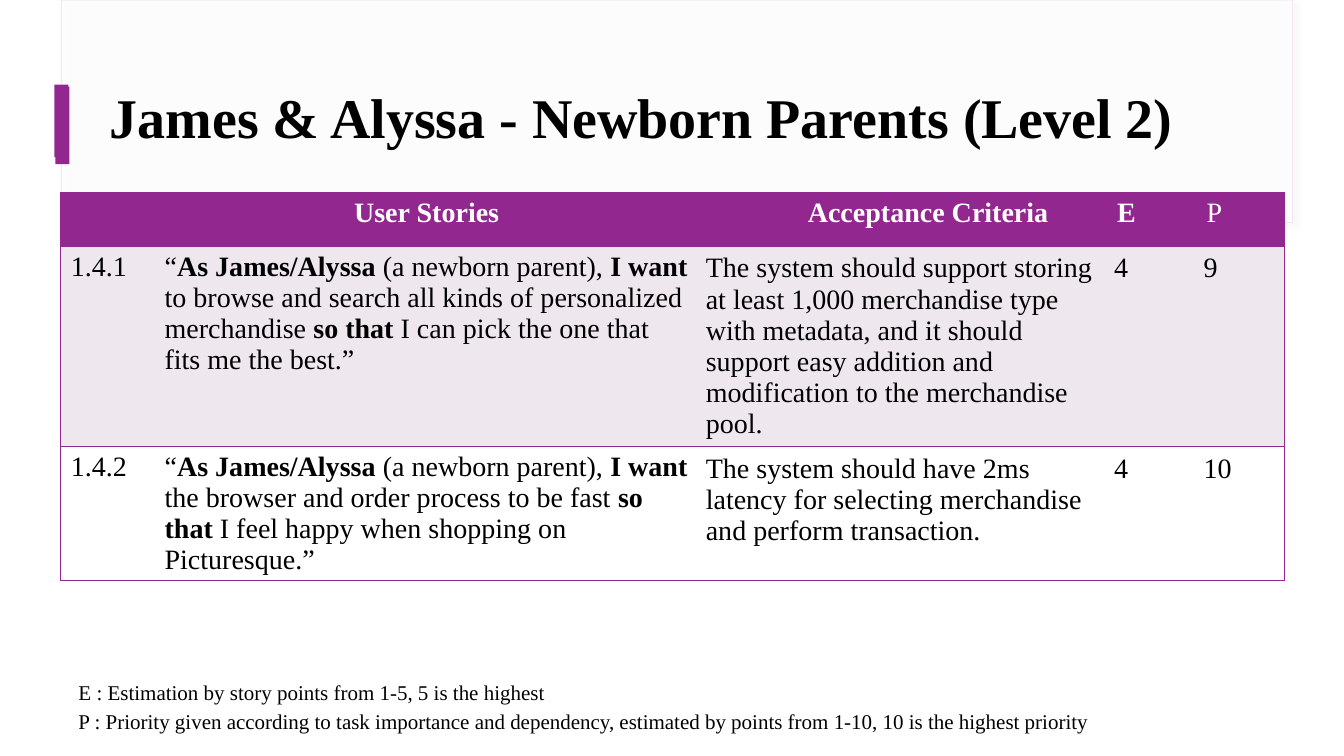
"""Build the user story slide for James and Alyssa."""
from lxml.etree import SubElement
from pptx import Presentation
from pptx.dml.color import RGBColor
from pptx.enum.shapes import MSO_SHAPE
from pptx.enum.text import MSO_ANCHOR, PP_ALIGN
from pptx.oxml import parse_xml
from pptx.oxml.ns import nsdecls, qn
from pptx.util import Pt

COLORS = {"purple": "92278F", "lilac": "EEE7EE", "white": "FFFFFF", "black": "000000",
          "edge": "F3E4F3", "shadow": "D8D8D8"}
FONT = "Times New Roman"
TITLE = "James & Alyssa - Newborn Parents (Level 2)"
HEADERS = [("", False), ("User Stories", True), ("Acceptance Criteria", True),
           ("E", True), ("P", False)]
STORIES = [
    ("1.4.1", "to browse and search all kinds of personalized merchandise ",
     " I can pick the one that fits me the best.”",
     "The system should support storing at least 1,000 merchandise type with metadata, "
     "and it should support easy addition and modification to the merchandise pool.",
     "4", "9"),
    ("1.4.2", "the browser and order process to be fast ",
     " I feel happy when shopping on Picturesque.”",
     "The system should have 2ms latency for selecting merchandise and perform transaction.",
     "4", "10"),
]
NOTES = [
    "E : Estimation by story points from 1-5, 5 is the highest",
    "P : Priority given according to task importance and dependency, "
    "estimated by points from 1-10, 10 is the highest priority",
]
PANELS = [(43.9, 0, 879.1, 159.1), (44.6, 0, 878.4, 158.4)]
ACCENTS = [(39.6, 61.9, 10.1, 55.4), (38.9, 60.5, 10.1, 51.8)]
TABLE_LEFT, TABLE_TOP = 43.4, 137.5
COLUMN_WIDTHS = [67, 388.8, 291.6, 64, 62.6]
ROW_HEIGHTS = [38.2, 143, 95.8]


def color(name):
    return RGBColor.from_string(COLORS[name])


def add_span(para, text, size, tint="black", bold=False):
    span = para.add_run()
    span.text = text
    span.font.name = FONT
    span.font.size = Pt(size)
    span.font.bold = bold
    span.font.color.rgb = color(tint)


def add_rectangle(page, frame, tint, opacity=100):
    shape = page.shapes.add_shape(MSO_SHAPE.RECTANGLE, *map(Pt, frame))
    shape.shadow.inherit = False
    shape.line.fill.background()
    shape.fill.solid()
    shape.fill.fore_color.rgb = color(tint)
    if opacity < 100:
        paint = shape._element.spPr.find(qn("a:solidFill"))[0]
        SubElement(paint, qn("a:alpha")).set("val", str(opacity * 1000))
    return shape


def add_panels(page):
    back, _ = [add_rectangle(page, frame, "white", 49) for frame in PANELS]
    back.line.color.rgb = color("edge")
    back.line.width = Pt(0.75)
    effects = back._element.spPr.find(qn("a:effectLst"))
    effects.append(parse_xml(
        f'<a:outerShdw {nsdecls("a")} blurRad="{Pt(4)}" dist="{Pt(3)}" dir="2700000" '
        f'algn="tl" rotWithShape="0"><a:srgbClr val="{COLORS["shadow"]}">'
        '<a:alpha val="29000"/></a:srgbClr></a:outerShdw>'))


def add_text_box(page, frame, inset):
    box = page.shapes.add_textbox(*map(Pt, frame)).text_frame
    box.word_wrap = True
    box.margin_top = box.margin_bottom = Pt(inset)
    return box


def style_cell(cell, tint, edges, inset):
    cell.margin_left = cell.margin_right = Pt(inset[0])
    cell.margin_top = cell.margin_bottom = Pt(inset[1])
    cell.fill.solid()
    cell.fill.fore_color.rgb = color(tint)
    for index, side in enumerate("LRTB"):
        paint = (f'<a:solidFill><a:srgbClr val="{COLORS["purple"]}"/></a:solidFill>'
                 if side in edges else "<a:noFill/>")
        cell._tc.tcPr.insert(index, parse_xml(
            f'<a:ln{side} {nsdecls("a")} w="{Pt(1)}">{paint}</a:ln{side}>'))


def story_cells(story):
    number, want, reason, *details = story
    sentence = [("“", False), ("As James/Alyssa ", True), ("(a newborn parent), ", False),
                ("I want ", True), (want, False), ("so that", True), (reason, False)]
    return [[(number, False)], sentence] + [[(detail, False)] for detail in details]


def add_story_table(page):
    rows = [[[header] for header in HEADERS]] + [story_cells(story) for story in STORIES]
    last = len(COLUMN_WIDTHS) - 1
    table = page.shapes.add_table(
        len(rows), len(COLUMN_WIDTHS), Pt(TABLE_LEFT), Pt(TABLE_TOP),
        Pt(sum(COLUMN_WIDTHS)), Pt(sum(ROW_HEIGHTS))).table
    table.first_row = table.horz_banding = False
    for column, width in zip(table.columns, COLUMN_WIDTHS):
        column.width = Pt(width)
    for row, height in zip(table.rows, ROW_HEIGHTS):
        row.height = Pt(height)
    for r, (cells, tint) in enumerate(zip(rows, ["purple", "lilac", "white"])):
        for c, spans in enumerate(cells):
            cell = table.cell(r, c)
            edges = "TB" + ("L" if c == 0 else "R" if c == last else "")
            style_cell(cell, tint, edges, (5, 5) if r and c > 1 else (7.2, 3.6))
            para = cell.text_frame.paragraphs[0]
            if r == 0 and c in (1, 2):
                para.alignment = PP_ALIGN.CENTER
            for text, bold in spans:
                if text:
                    add_span(para, text, 20, "black" if r else "white", bold)
    indented = table.cell(0, 2).text_frame.paragraphs[0]._p.get_or_add_pPr()
    indented.set("marL", str(Pt(36)))
    indented.set("indent", "0")


def main():
    deck = Presentation()
    deck.slide_width, deck.slide_height = Pt(960), Pt(540)
    page = deck.slides.add_slide(deck.slide_layouts[6])
    add_panels(page)
    for frame in ACCENTS:
        add_rectangle(page, frame, "purple")
    add_story_table(page)

    notes = add_text_box(page, (49, 475.2, 861.8, 51.8), 7.2)
    for index, note in enumerate(NOTES):
        para = notes.add_paragraph() if index else notes.paragraphs[0]
        para.line_spacing = 1.15
        add_span(para, note, 15)

    title = add_text_box(page, (71.3, 31.7, 829.4, 108), 3.6)
    title.vertical_anchor = MSO_ANCHOR.MIDDLE
    title.paragraphs[0].line_spacing = 0.9
    add_span(title.paragraphs[0], TITLE, 40, bold=True)
    deck.save("out.pptx")


if __name__ == "__main__":
    main()
